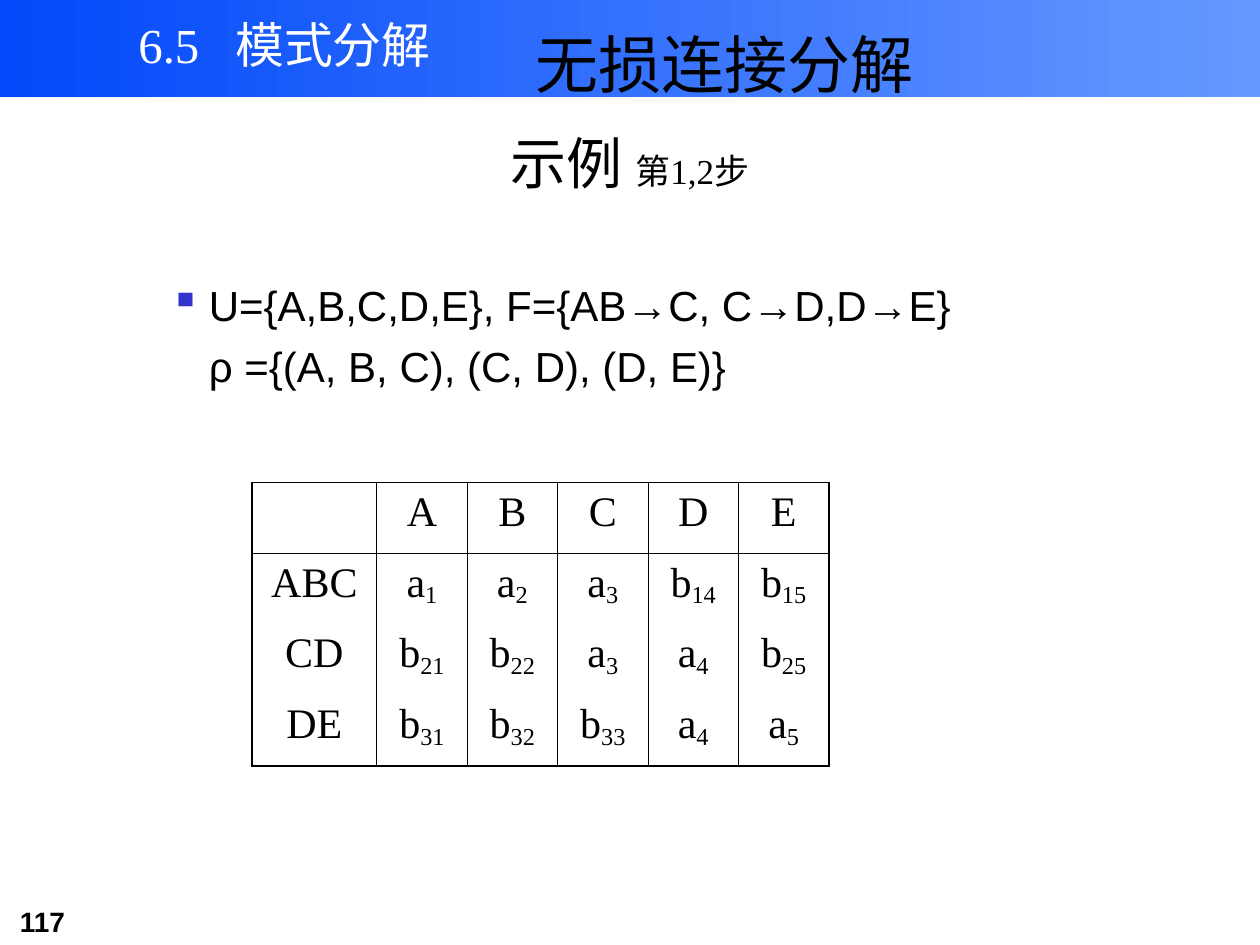
from dataclasses import dataclass

from lxml import etree
from pptx import Presentation
from pptx.dml.color import RGBColor
from pptx.enum.shapes import MSO_SHAPE
from pptx.enum.text import MSO_ANCHOR, PP_ALIGN
from pptx.oxml.ns import qn
from pptx.util import Inches, Pt

RECT = MSO_SHAPE.RECTANGLE
TOP, MIDDLE = MSO_ANCHOR.TOP, MSO_ANCHOR.MIDDLE
LEFT, CENTER = PP_ALIGN.LEFT, PP_ALIGN.CENTER


@dataclass(frozen=True)
class Theme:
    sans: str = "Arial"
    serif: str = "Times New Roman"
    ink: str = "000000"
    white: str = "FFFFFF"
    bullet: str = "3333CC"
    band: tuple = ("0249FA", "6699FF")
    title: float = 36
    lead: float = 32
    section: float = 27.9
    body: float = 24
    note: float = 20
    number: float = 16
    thin: float = 0.45
    thick: float = 1.08


THEME = Theme()

HEADS = ["", "A", "B", "C", "D", "E"]
ROWS = [
    ["ABC", "a1", "a2", "a3", "b14", "b15"],
    ["CD", "b21", "b22", "a3", "a4", "b25"],
    ["DE", "b31", "b32", "b33", "a4", "a5"],
]


def add_run(para, text, size, face, color=THEME.ink, bold=False):
    run = para.add_run()
    run.text = text
    font = run.font
    font.size, font.name, font.bold = Pt(size), face, bold
    font.color.rgb = RGBColor.from_string(color)
    return run


def add_text(slide, box, anchor=TOP, align=LEFT):
    """Add an empty wrapped text box and return its frame."""
    frame = slide.shapes.add_textbox(*map(Inches, box)).text_frame
    frame.word_wrap = True
    frame.vertical_anchor = anchor
    frame.paragraphs[0].alignment = align
    return frame


def add_band(slide, box):
    band = slide.shapes.add_shape(RECT, *map(Inches, box))
    band.shadow.inherit = False
    band.line.fill.background()
    band.fill.gradient()
    band.fill.gradient_angle = 0
    for stop, color, place in zip(band.fill.gradient_stops, THEME.band, (0, 1)):
        stop.color.rgb = RGBColor.from_string(color)
        stop.position = place


def add_title(slide, box):
    para = add_text(slide, box, MIDDLE, CENTER).paragraphs[0]
    add_run(para, "无损连接分解", THEME.title, THEME.sans)


def add_section(slide, box):
    para = add_text(slide, box, MIDDLE).paragraphs[0]
    para.line_spacing = 0.8
    tabs = etree.SubElement(para._p.get_or_add_pPr(), qn("a:tabLst"))
    etree.SubElement(tabs, qn("a:tab"), pos=str(Inches(0.77)), algn="l")
    add_run(para, "6.5\t模式分解", THEME.section, THEME.serif, THEME.white)


def add_lead(slide, box):
    para = add_text(slide, box, MIDDLE, CENTER).paragraphs[0]
    add_run(para, "示例 ", THEME.lead, THEME.serif)
    add_run(para, "第1,2步", THEME.note, THEME.serif)


def add_body(slide, box):
    frame = add_text(slide, box)
    first, second = frame.paragraphs[0], frame.add_paragraph()
    second.space_before = Pt(6)
    for para, hang in ((first, -0.31), (second, 0)):
        props = para._p.get_or_add_pPr()
        props.set("marL", str(Inches(0.81)))
        props.set("indent", str(Inches(hang)))
    props = first._p.get_or_add_pPr()
    tint = etree.SubElement(props, qn("a:buClr"))
    etree.SubElement(tint, qn("a:srgbClr"), val=THEME.bullet)
    etree.SubElement(props, qn("a:buChar"), char="▪")
    add_run(first, "U={A,B,C,D,E}, F={AB→C, C→D,D→E}", THEME.body, THEME.sans)
    add_run(second, "ρ ={(A, B, C), (C, D), (D, E)}", THEME.body, THEME.sans)


def set_edge(cell, side, width):
    """Draw one cell border; a width of 0 hides it."""
    props = cell._tc.get_or_add_tcPr()
    line = etree.SubElement(props, qn("a:ln" + side), w=str(Pt(width)))
    if width:
        fill = etree.SubElement(line, qn("a:solidFill"))
        etree.SubElement(fill, qn("a:srgbClr"), val=THEME.ink)
    else:
        etree.SubElement(line, qn("a:noFill"))


def fill_cell(cell, text, split):
    """Write a cell; with split, all after the first letter is a subscript."""
    if not text:
        return
    para = cell.text_frame.paragraphs[0]
    para.alignment = CENTER
    base, sub = (text[0], text[1:]) if split else (text, "")
    add_run(para, base, THEME.body, THEME.serif)
    if sub:
        run = add_run(para, sub, THEME.body, THEME.serif)
        run._r.get_or_add_rPr().set("baseline", "-16000")


def add_grid(slide, box):
    data = [HEADS] + ROWS
    last, end = len(data) - 1, len(HEADS) - 1
    grid = slide.shapes.add_table(last + 1, end + 1, *map(Inches, box)).table
    grid.first_row = grid.horz_banding = False
    first = 0.99
    for c, col in enumerate(grid.columns):
        col.width = Inches((box[2] - first) / end if c else first)
    for r, row in enumerate(data):
        for c, text in enumerate(row):
            cell = grid.cell(r, c)
            fill_cell(cell, text, r and c)
            edges = {
                "L": THEME.thin if c else THEME.thick,
                "R": THEME.thick if c == end else THEME.thin,
                "T": (THEME.thick, THEME.thin, 0, 0)[r],
                "B": (THEME.thin, 0, 0, THEME.thick)[r],
            }
            for side, width in edges.items():
                set_edge(cell, side, width)
            cell.fill.background()


def add_number(slide, box):
    para = add_text(slide, box).paragraphs[0]
    add_run(para, "117", THEME.number, THEME.sans, bold=True)


def main():
    deck = Presentation()
    deck.slide_width, deck.slide_height = Inches(10), Inches(7.5)
    slide = deck.slides.add_slide(deck.slide_layouts[6])
    add_band(slide, (0, 0, 10, 0.77))
    add_number(slide, (0.06, 7.13, 1.22, 0.37))
    add_title(slide, (1.5, 0, 8.5, 1))
    add_section(slide, (1, 0.1, 5.58, 0.58))
    add_lead(slide, (0.75, 0.97, 8.5, 0.64))
    add_body(slide, (0.75, 2.17, 8.5, 1.42))
    add_grid(slide, (2, 3.83, 4.58, 2.25))
    deck.save("out.pptx")


if __name__ == "__main__":
    main()
